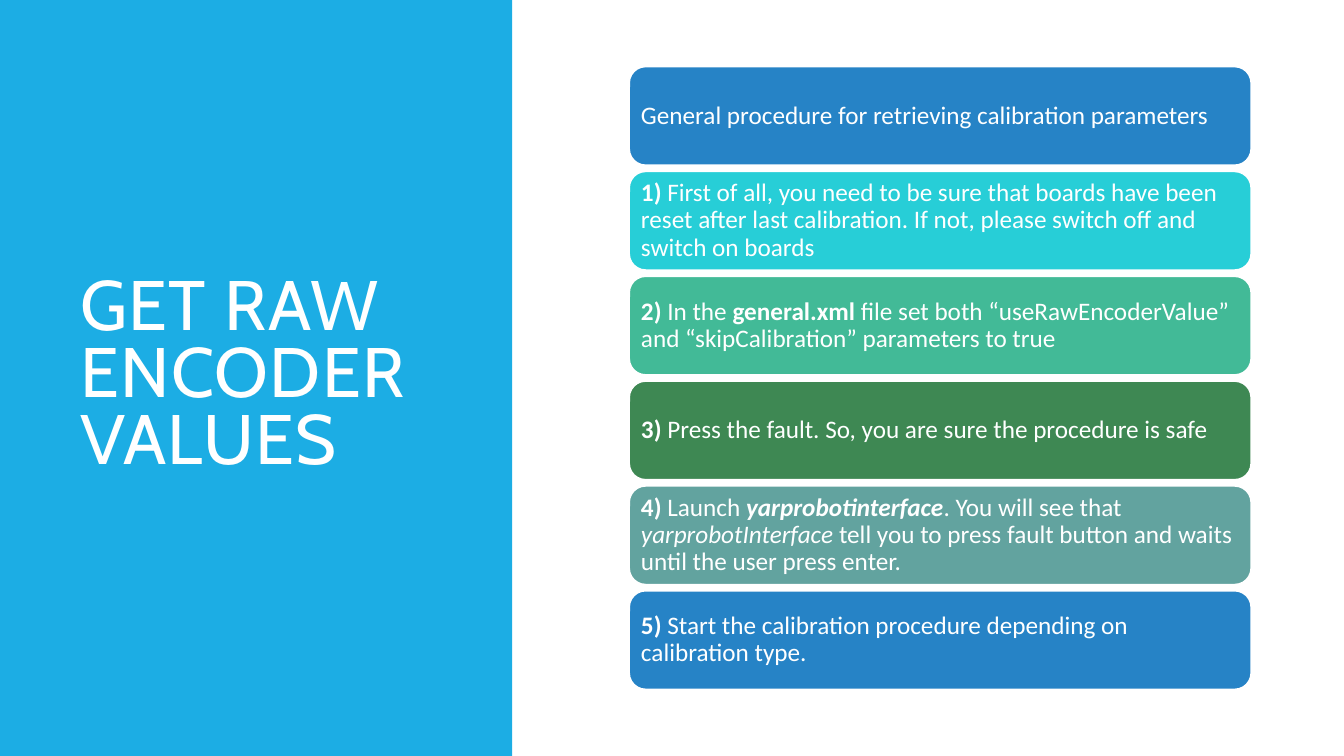
from pptx import Presentation, util as u
from pptx.dml.color import RGBColor
from pptx.enum import shapes, text

W, H = 13.33, 7.5
COLORS = {
    "panel": "1CADE4", "white": "FFFFFF", "blue": "2683C6", "cyan": "27CED7",
    "mint": "42BA97", "green": "3E8853", "teal": "62A39F",
}
LEFT, TOP, WIDTH, HEIGHT, PITCH = 6.24, 0.66, 6.17, 0.98, 1.04
BOLD, ITALIC = {"bold": True}, {"italic": True}
STEPS = [
    ("blue", [("General procedure for retrieving calibration parameters", {})]),
    ("cyan", [("1)", BOLD), (" First of all, you need to be sure that boards have been reset "
                             "after last calibration. If not, please switch off and switch on boards", {})]),
    ("mint", [("2)", BOLD), (" In the ", {}), ("general.xml", BOLD),
              (" file set both “useRawEncoderValue” and “skipCalibration” parameters to true", {})]),
    ("green", [("3)", BOLD), (" Press the fault. So, you are sure the procedure is safe", {})]),
    ("teal", [("4)", BOLD), (" Launch ", {}), ("yarprobotinterface", BOLD | ITALIC),
              (". You will see that ", {}), ("yarprobotInterface ", ITALIC),
              ("tell you to press fault button and waits until the user press enter.", {})]),
    ("blue", [("5) ", BOLD), ("Start the calibration procedure depending on calibration type.", {})]),
]


def rgb(name):
    return RGBColor.from_string(COLORS[name])


def set_all(obj, values):
    for key, value in values.items():
        setattr(obj, key, value)


def add_box(s, kind, x, y, w, h, fill, line=None):
    sp = s.shapes.add_shape(kind, *map(u.Inches, (x, y, w, h)))
    sp.shadow.inherit = False
    sp.fill.solid()
    sp.fill.fore_color.rgb = rgb(fill)
    if line:
        sp.line.color.rgb = rgb(line)
        sp.line.width = u.Pt(1.25)
    else:
        sp.line.fill.background()
    return sp


def write(sp, runs, font, size, spacing, margin):
    tf = sp.text_frame
    sides = ("margin_left", "margin_right", "margin_top", "margin_bottom")
    set_all(tf, dict.fromkeys(sides, u.Inches(margin)))
    set_all(tf, {"word_wrap": True, "vertical_anchor": text.MSO_ANCHOR.MIDDLE})
    p = tf.paragraphs[0]
    set_all(p, {"alignment": text.PP_ALIGN.LEFT, "line_spacing": spacing})
    for content, style in runs:
        r = p.add_run()
        r.text = content
        set_all(r.font, {"name": font, "size": u.Pt(size), **style})
        r.font.color.rgb = rgb("white")
    return p


def add_title(s, content):
    sp = s.shapes.add_textbox(*map(u.Inches, (0.7, 0.7, 3.74, 6.09)))
    p = write(sp, [(content, {})], "Cabin", 50, 0.8, 0.1)
    p.runs[0].font._element.set("spc", "100")


def add_step(s, row, fill, runs):
    sp = add_box(s, shapes.MSO_SHAPE.ROUNDED_RECTANGLE,
                 LEFT, TOP + row * PITCH, WIDTH, HEIGHT, fill, "white")
    write(sp, runs, "Calibri", 18, 0.9, 0.07)


def main():
    prs = Presentation()
    set_all(prs, {"slide_width": u.Inches(W), "slide_height": u.Inches(H)})
    s = prs.slides.add_slide(prs.slide_layouts[6])
    add_box(s, shapes.MSO_SHAPE.RECTANGLE, 0, 0, 5.08, H, "panel")
    add_title(s, "GET RAW ENCODER VALUES")
    for row, (fill, runs) in enumerate(STEPS):
        add_step(s, row, fill, runs)
    prs.save("out.pptx")


if __name__ == "__main__":
    main()
